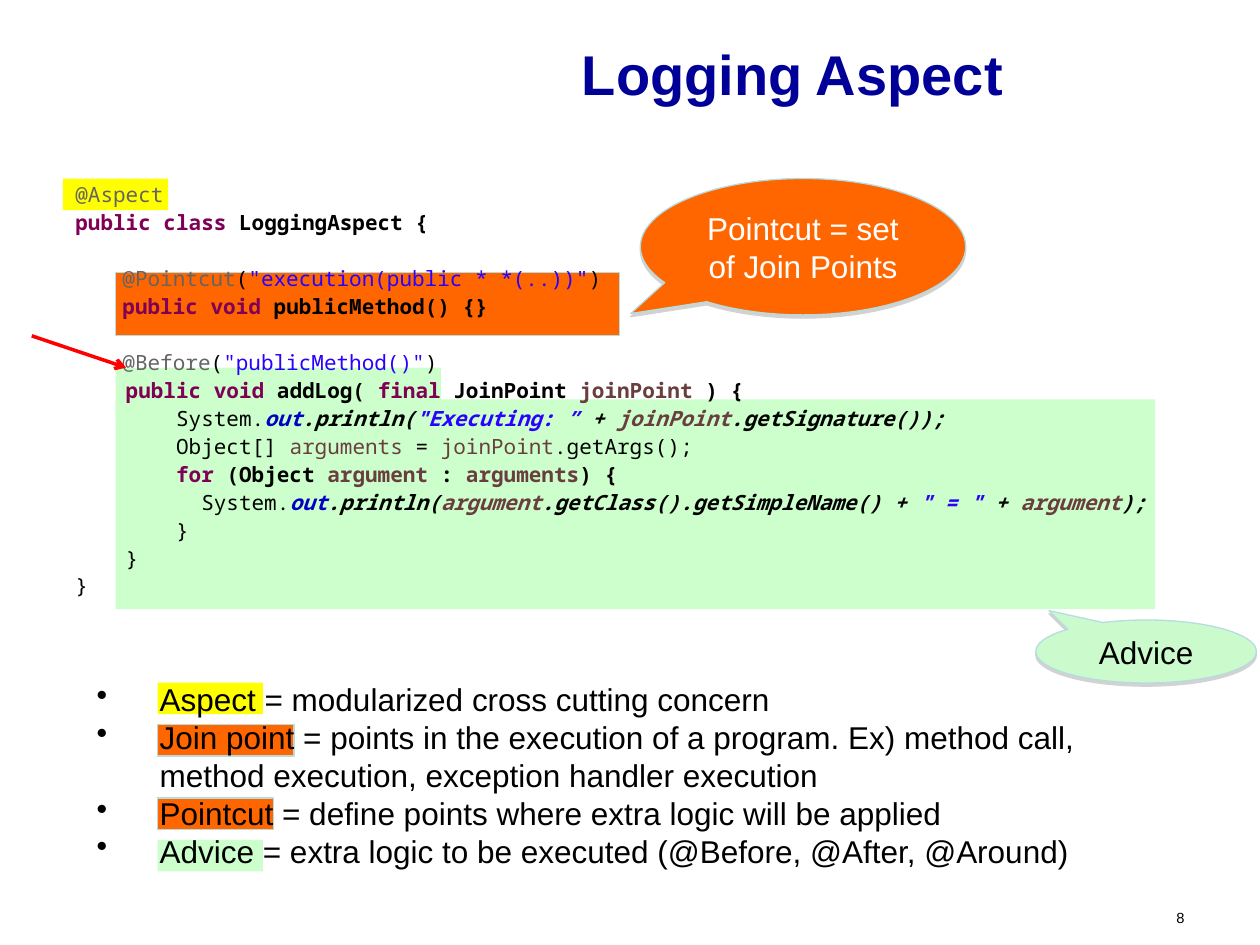
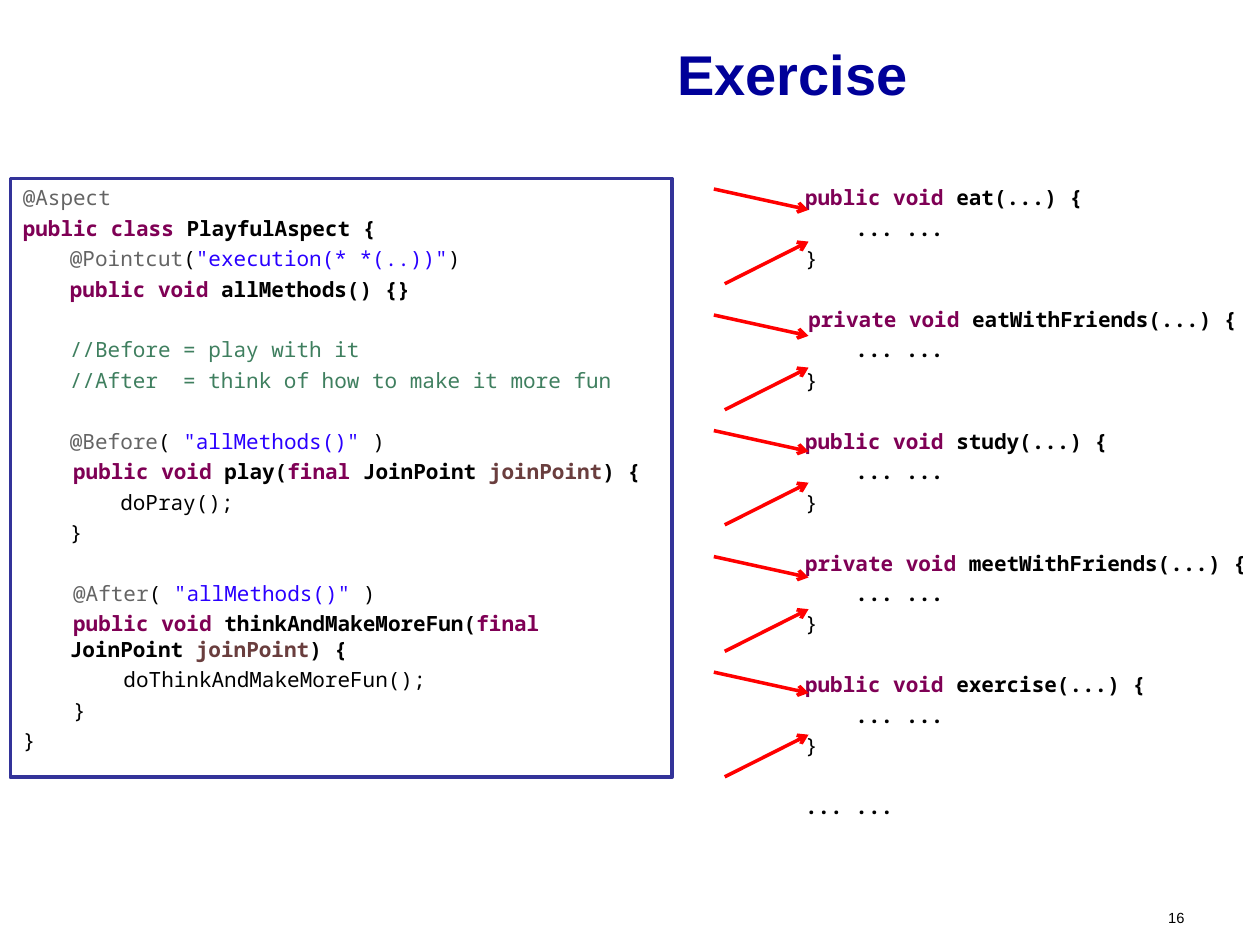
from lxml.etree import SubElement
from pptx import Presentation
from pptx.dml.color import RGBColor
from pptx.enum.shapes import MSO_CONNECTOR, MSO_SHAPE
from pptx.enum.text import MSO_ANCHOR, PP_ALIGN
from pptx.oxml.ns import qn
from pptx.util import Cm, Pt

NAVY = RGBColor(0x00, 0x00, 0x99)
INDIGO = RGBColor(0x33, 0x33, 0x99)
BLACK = RGBColor(0x00, 0x00, 0x00)
WHITE = RGBColor(0xFF, 0xFF, 0xFF)
YELLOW = RGBColor(0xFF, 0xFF, 0x00)
ORANGE = RGBColor(0xFF, 0x66, 0x00)
GREEN = RGBColor(0xCC, 0xFF, 0xCC)
MINT = RGBColor(0xCB, 0xFB, 0xCD)
PALE = RGBColor(0xB6, 0xDC, 0xDF)
RED = RGBColor(0xFF, 0x00, 0x00)
GREY = RGBColor(0x64, 0x64, 0x64)
PLUM = RGBColor(0x7F, 0x00, 0x55)
BLUE = RGBColor(0x2A, 0x00, 0xFF)
FIELD = RGBColor(0x00, 0x00, 0xC0)
BROWN = RGBColor(0x6A, 0x3E, 0x3E)
MOSS = RGBColor(0x3F, 0x7F, 0x5F)

SANS = "Arial"
MONO = "Noto Sans Mono"
MARK = "§"
INKS = {
    "p": (BLACK, False, False),
    "b": (BLACK, True, False),
    "i": (BLACK, True, True),
    "a": (GREY, False, False),
    "k": (PLUM, True, False),
    "s": (BLUE, False, False),
    "S": (BLUE, True, True),
    "f": (FIELD, True, True),
    "v": (BROWN, False, False),
    "w": (BROWN, True, False),
    "W": (BROWN, True, True),
    "c": (MOSS, False, False),
}

LOGGING = [
    '§a@Aspect',
    '§kpublic class§b LoggingAspect {',
    '',
    '\t§a@Pointcut§p(§s"execution(public * *(..))"§p)',
    '\t§kpublic void§b publicMethod() {}',
    '',
    '\t§a@Before§p(§s"publicMethod()"§p)',
    '§k    public void§b addLog( §kfinal§b JoinPoint §wjoinPoint§b ) {',
    '§p        System.§fout§i.println(§S"Executing: ” §i+ §WjoinPoint§i.getSignature());',
    '§p        Object[] §varguments§p = §vjoinPoint§p.getArgs();',
    '§k        for§b (Object §wargument§b : §warguments§b) {',
    '§p          System.§fout§i.println(§Wargument§i.getClass().getSimpleName() + '
    '§S" = "§i + §Wargument§i);',
    '§p        }',
    '§p    }',
    '§p}',
]
PLAYFUL = [
    '§a@Aspect',
    '§kpublic class§b PlayfulAspect {',
    '\t§a@Pointcut§p(§s"execution(* *(..))"§p)',
    '\t§kpublic void§b allMethods() {}',
    '',
    '\t§c//Before = play with it',
    '\t§c//After  = think of how to make it more fun',
    '',
    '\t§a@Before§p( §s"allMethods()"§p )',
    '§k    public void§b play(§kfinal§b JoinPoint §wjoinPoint§b) {',
    '\t§p    doPray();',
    '\t§p}',
    '',
    '§a    @After§p( §s"allMethods()" §p)',
    '§k    public void§b thinkAndMakeMoreFun(§kfinal§b JoinPoint §wjoinPoint§b) {',
    '§p        doThinkAndMakeMoreFun();',
    '§p    }',
    '§p}',
]
METHODS = [
    '\t§kpublic void§b eat',
    '§k    private void§b eatWithFriends',
    '\t§kpublic void§b study',
    '\t§kprivate void§b meetWithFriends',
    '\t§kpublic void§b exercise',
]
TERMS = [
    "Aspect = modularized cross cutting concern",
    "Join point = points in the execution of a program. Ex) method call, "
    "method execution, exception handler execution",
    "Pointcut = define points where extra logic will be applied",
    "Advice = extra logic to be executed (@Before, @After, @Around)",
]


class Deck:
    """Holds the shared style and the slide being built."""

    def __init__(self):
        self.show = Presentation()
        self.show.slide_width, self.show.slide_height = Cm(25.4), Cm(19.05)

    def start(self, title, page):
        self.slide = self.show.slides.add_slide(self.show.slide_layouts[6])
        self.label(title, (7.83, 0.42, 16.3, 2.12), 32, NAVY, PP_ALIGN.CENTER, True)
        self.label(str(page), (18.2, 18.2, 5.93, 0.64), 8.4, BLACK, PP_ALIGN.RIGHT)

    def frame(self, place):
        box = self.slide.shapes.add_textbox(*map(Cm, place))
        box.text_frame.word_wrap = True
        return box.text_frame

    def style(self, para, size, color, align, bold=False):
        para.alignment = align
        font = para.font
        font.name, font.size, font.bold = SANS, Pt(size), bold
        font.color.rgb = color

    def label(self, text, place, size, color, align, bold=False):
        frame = self.frame(place)
        if bold:
            frame.vertical_anchor = MSO_ANCHOR.MIDDLE
        frame.text = text
        self.style(frame.paragraphs[0], size, color, align, bold)

    def block(self, place, fill, line=None, width=0.75, kind=MSO_SHAPE.RECTANGLE):
        shape = self.slide.shapes.add_shape(kind, *map(Cm, place))
        shape.shadow.inherit = False
        shape.fill.solid()
        shape.fill.fore_color.rgb = fill
        if line is None:
            shape.line.fill.background()
        else:
            shape.line.color.rgb = line
            shape.line.width = Pt(width)
        return shape

    def callout(self, text, place, tip, fill, color):
        shape = self.block(place, fill, PALE, kind=MSO_SHAPE.OVAL_CALLOUT)
        shape.adjustments[0], shape.adjustments[1] = tip
        effects = shape.element.spPr.find(qn("a:effectLst"))
        shade = SubElement(effects, qn("a:outerShdw"), blurRad="0",
                           dist=str(Pt(1.8)), dir="5400000", rotWithShape="0")
        tone = SubElement(shade, qn("a:srgbClr"), val="808080")
        SubElement(tone, qn("a:alpha"), val="35000")
        frame = shape.text_frame
        frame.word_wrap = True
        frame.vertical_anchor = MSO_ANCHOR.MIDDLE
        frame.text = text
        self.style(frame.paragraphs[0], 18, color, PP_ALIGN.CENTER)

    def indent(self, para, left, first):
        props = para._p.get_or_add_pPr()
        props.set("marL", str(Cm(left)))
        props.set("indent", str(Cm(first)))
        return props

    def bullets(self, items, place):
        frame = self.frame(place)
        for num, item in enumerate(items):
            para = frame.add_paragraph() if num else frame.paragraphs[0]
            para.text = item
            props = self.indent(para, 1.27, -1.27)
            SubElement(props, qn("a:buChar"), char="•")
            self.style(para, 18, BLACK, PP_ALIGN.LEFT)

    def code(self, frame, lines, pitch, space=1.0):
        frame.word_wrap = True
        frame.vertical_anchor = MSO_ANCHOR.TOP
        gap, first = 3, True
        for line in lines:
            if not line:
                gap += pitch
                continue
            para = frame.paragraphs[0] if first else frame.add_paragraph()
            para.alignment = PP_ALIGN.LEFT
            para.line_spacing = space
            para.space_before = Pt(0 if first else gap)
            self.indent(para, 0.95, 0 if line.startswith("\t") else -0.95)
            para.font.name, para.font.size = MONO, Pt(12)
            parts = line.lstrip("\t").split(MARK)[1:]
            for part in parts:
                run = para.add_run()
                run.text = part[1:]
                font = para.font if len(parts) == 1 else run.font
                font.color.rgb, font.bold, font.italic = INKS[part[0]]
            gap, first = 3, False

    def arrow(self, *ends):
        link = self.slide.shapes.add_connector(MSO_CONNECTOR.STRAIGHT, *map(Cm, ends))
        link.line.color.rgb = RED
        link.line.width = Pt(2)
        props = link.element.spPr
        SubElement(props.find(qn("a:ln")), qn("a:tailEnd"), type="arrow")
        SubElement(props, qn("a:effectLst"))


def logging(deck):
    deck.start("Logging Aspect", 8)
    deck.block((1.27, 3.6, 2.12, 0.64), YELLOW)
    deck.callout("Pointcut = set of Join Points", (12.91, 3.6, 6.56, 2.75),
                 (-0.53, 0.49), ORANGE, WHITE)
    deck.block((2.33, 5.5, 10.16, 1.27), ORANGE, PALE)
    deck.callout("Advice", (20.88, 12.5, 4.45, 1.27), (-0.44, -0.65), MINT, BLACK)
    deck.block((2.33, 8.05, 20.96, 4.23), GREEN)
    deck.block((2.33, 7.41, 6.56, 1.06), GREEN)
    for top, width, fill, line in [
        (13.76, 2.12, YELLOW, None),
        (14.6, 2.75, ORANGE, PALE),
        (16.09, 2.33, ORANGE, PALE),
        (16.93, 2.12, GREEN, None),
    ]:
        deck.block((3.18, top, width, 0.64), fill, line)
    deck.bullets(TERMS, (1.7, 13.59, 22.01, 4.83))
    deck.code(deck.frame((1.27, 3.6, 23.71, 9.31)), LOGGING, 16, 0.9)
    deck.arrow(0.64, 6.77, 2.54, 7.41)


def exercise(deck):
    deck.start("Exercise", 16)
    panel = deck.block((0.21, 3.6, 13.34, 12.07), WHITE, INDIGO, 2)
    deck.code(panel.text_frame, PLAYFUL, 17.4)
    calls = []
    for name in METHODS:
        calls += [name + "(...) {", "\t§b    ... ...", "\t§p}", ""]
    calls.append("\t§b... ...")
    deck.code(deck.frame((15.03, 3.6, 10.8, 13.34)), calls, 17.4)
    tops = (3.81, 6.35, 8.68, 11.22, 13.55)
    lows = (5.72, 8.26, 10.58, 13.13, 15.66)
    for top, low in zip(tops, lows):
        deck.arrow(14.39, top, 16.3, top + 0.42)
        deck.arrow(14.61, low, 16.3, low - 0.85)


def main():
    deck = Deck()
    logging(deck)
    exercise(deck)
    deck.show.save("out.pptx")


if __name__ == "__main__":
    main()
